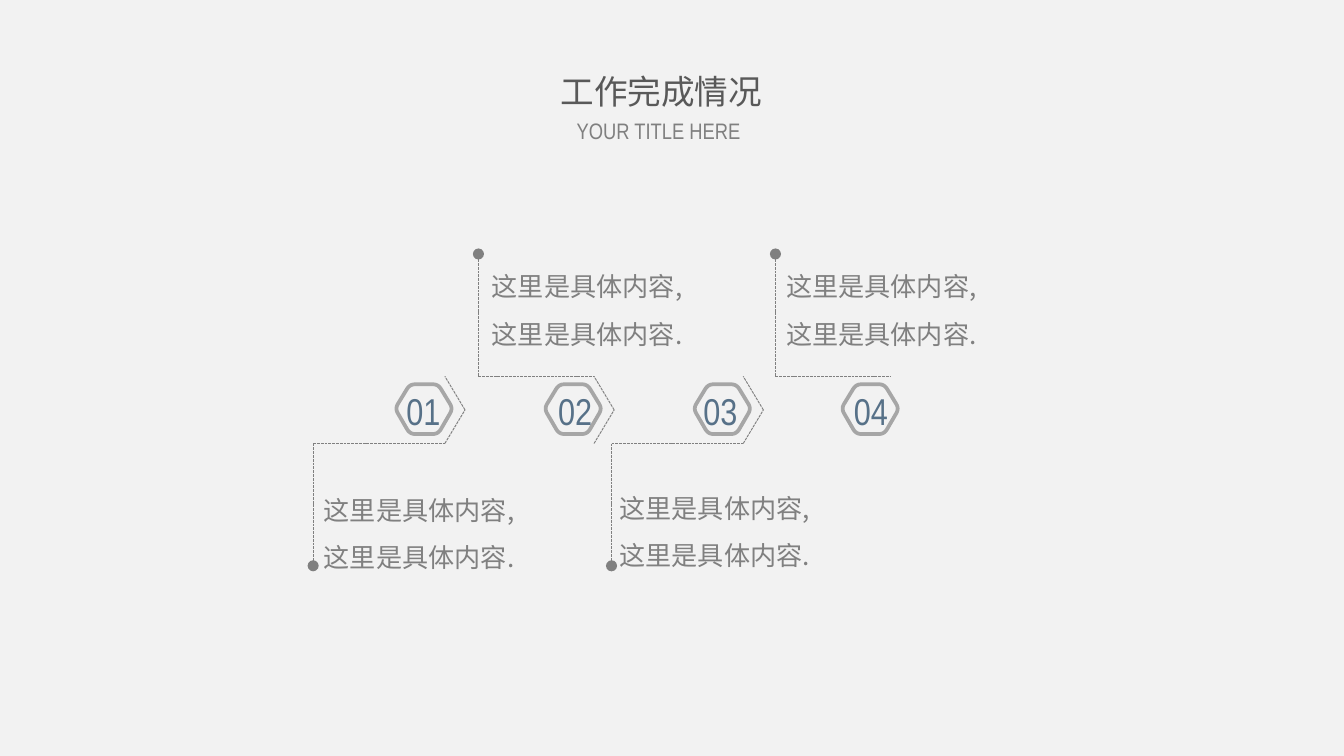
"""Build the work completion slide: four numbered steps on a zigzag track."""
import lxml.etree
import pptx
import pptx.dml.color
import pptx.enum.dml
import pptx.enum.text
import pptx.oxml.ns
import pptx.util

Inches = pptx.util.Inches
CJK, LATIN = "Noto Sans CJK SC", "Arial Narrow"
GREY, DARK, SILVER, BLUE, PAPER = "808080", "595959", "A6A6A6", "577188", "F2F2F2"

TITLE = "工作完成情况"
SUBTITLE = "YOUR TITLE HERE"
DETAIL = "这里是具体内容,这里是具体内容."
STEPS = [
    {"number": "01", "turn": 3.31, "number_left": 2.91, "detail_at": (2.31, 3.51)},
    {"number": "02", "turn": 4.42, "number_left": 4.04, "detail_at": (3.56, 1.85)},
    {"number": "03", "turn": 5.53, "number_left": 5.12, "detail_at": (4.51, 3.5)},
    {"number": "04", "turn": 6.63, "number_left": 6.24, "detail_at": (5.75, 1.85)},
]

TRACK_TOP, TRACK_MIDDLE, TRACK_BOTTOM = 2.8, 3.05, 3.3
UPPER_DOT, LOWER_DOT = 1.89, 4.21
UPPER_RUN, LOWER_RUN, CHEVRON = 0.86, 0.98, 0.15
HEXAGON_OFFSET, HEXAGON_TOP, CORNER_CUT = 0.36, 2.86, 0.04
HEXAGON = [(-0.01, 0.18), (0.1, 0), (0.31, 0), (0.42, 0.18), (0.31, 0.37), (0.1, 0.37)]


def color(value):
    return pptx.dml.color.RGBColor.from_string(value)


def write(box, text, size, font, ink, centered=True, spacing=1.0):
    frame = box.text_frame
    frame.word_wrap = True
    frame.auto_size = pptx.enum.text.MSO_AUTO_SIZE.NONE
    frame.vertical_anchor = pptx.enum.text.MSO_ANCHOR.TOP
    para = frame.paragraphs[0]
    align = pptx.enum.text.PP_ALIGN
    para.alignment = align.CENTER if centered else align.LEFT
    para.line_spacing = spacing
    span = para.add_run()
    span.text = text
    span.font.size = pptx.util.Pt(size)
    span.font.name = font
    span.font.color.rgb = color(ink)
    east_asian = lxml.etree.SubElement(span.font._element, pptx.oxml.ns.qn("a:ea"))
    east_asian.set("typeface", font)


def add_text(page, at, *style, **options):
    box = page.shapes.add_textbox(*map(Inches, at))
    write(box, *style, **options)


def add_dashed_line(page, start, end, dot=False):
    line = page.shapes.add_connector(1, *map(Inches, start + end))
    line.line.color.rgb = color(GREY)
    line.line.width = pptx.util.Pt(0.5)
    line.line.dash_style = pptx.enum.dml.MSO_LINE.SQUARE_DOT
    qn = pptx.oxml.ns.qn
    if dot:
        lxml.etree.SubElement(line.line._ln, qn("a:tailEnd")).set("type", "oval")
    lxml.etree.SubElement(line._element.spPr, qn("a:effectLst"))


def toward(start, end, distance):
    length = ((end[0] - start[0]) ** 2 + (end[1] - start[1]) ** 2) ** 0.5
    return tuple(a + (b - a) * distance / length for a, b in zip(start, end))


def rounded(corners, cut, samples=6):
    points = []
    for index, corner in enumerate(corners):
        before = toward(corner, corners[index - 1], cut)
        after = toward(corner, corners[(index + 1) % len(corners)], cut)
        for step in range(samples + 1):
            t = step / samples
            points.append(tuple(
                (1 - t) ** 2 * a + 2 * t * (1 - t) * c + t ** 2 * b
                for a, c, b in zip(before, corner, after)))
    return points


def add_hexagon(page, left):
    points = [(Inches(left + x), Inches(HEXAGON_TOP + y))
              for x, y in rounded(HEXAGON, CORNER_CUT)]
    builder = page.shapes.build_freeform(*points[0], scale=1.0)
    builder.add_line_segments(points[1:], close=True)
    hexagon = builder.convert_to_shape()
    hexagon.shadow.inherit = False
    hexagon.fill.background()
    hexagon.line.color.rgb = color(SILVER)
    hexagon.line.width = pptx.util.Pt(2)


def add_step(page, index, step):
    turn = step["turn"]
    if index % 2:
        stem, track, dot = turn - UPPER_RUN, TRACK_TOP, UPPER_DOT
    else:
        stem, track, dot = turn - LOWER_RUN, TRACK_BOTTOM, LOWER_DOT
    add_text(page, step["detail_at"] + (1.68, 0.77), DETAIL, 14, CJK, GREY,
             centered=False, spacing=1.5)
    add_dashed_line(page, (stem, track), (turn, track))
    add_dashed_line(page, (stem, track), (stem, dot), dot=True)
    if index < len(STEPS) - 1:
        tip = (turn + CHEVRON, TRACK_MIDDLE)
        add_dashed_line(page, (turn, TRACK_BOTTOM), tip)
        add_dashed_line(page, tip, (turn, TRACK_TOP))
    add_hexagon(page, turn - HEXAGON_OFFSET)
    add_text(page, (step["number_left"], 2.84, 0.48, 0.44),
             step["number"], 20, LATIN, BLUE)


def main():
    deck = pptx.Presentation()
    deck.slide_width = Inches(10)
    deck.slide_height = deck.slide_width * 9 // 16
    page = deck.slides.add_slide(deck.slide_layouts[5])
    page.background.fill.solid()
    page.background.fill.fore_color.rgb = color(PAPER)
    title = page.shapes.title
    title.left, title.top, title.width, title.height = map(Inches, (3.8, 0.48, 2.24, 0.4))
    write(title, TITLE, 18, CJK, DARK)
    add_text(page, (4.18, 0.82, 1.44, 0.3), SUBTITLE, 12, LATIN, GREY)
    for index, step in enumerate(STEPS):
        add_step(page, index, step)
    deck.save("out.pptx")


if __name__ == "__main__":
    main()
